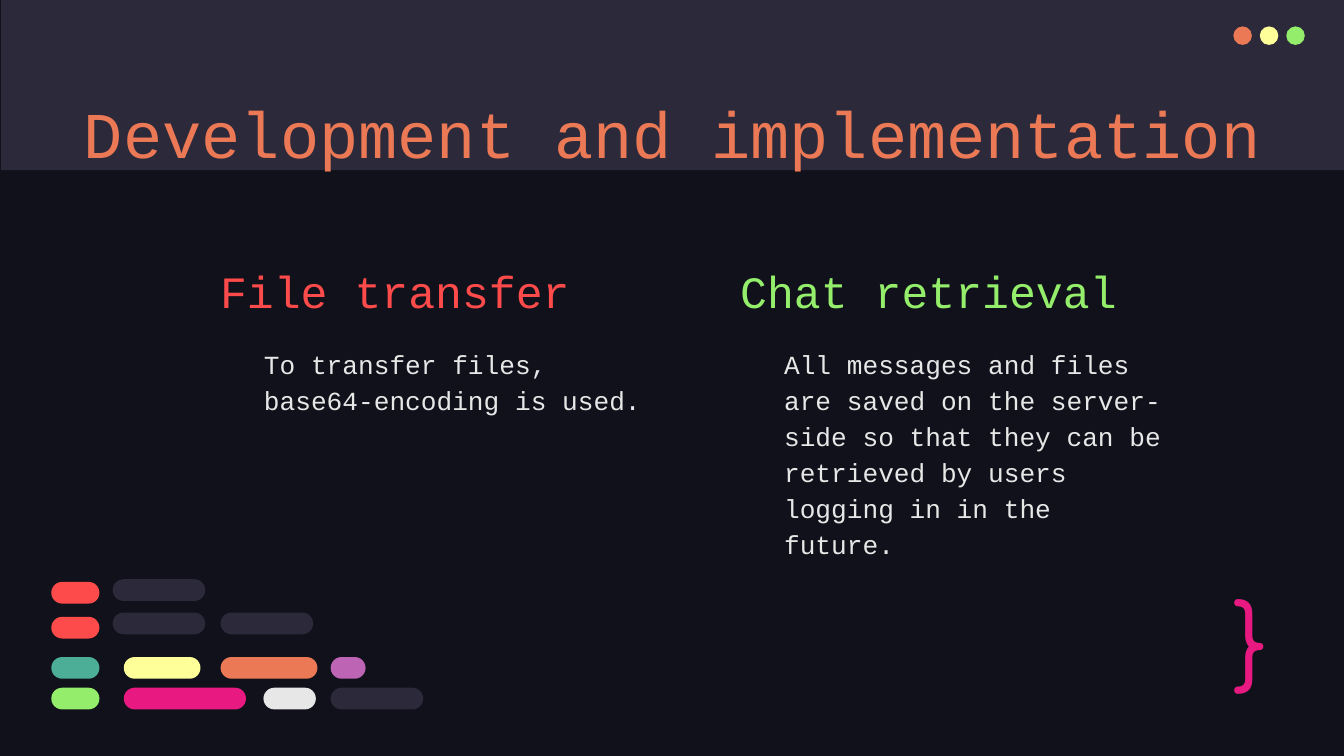
import pptx
import pptx.dml.color
import pptx.enum.shapes
import pptx.enum.text
import pptx.util
from pptx.dml.color import RGBColor
from pptx.enum.shapes import MSO_SHAPE
from pptx.enum.text import MSO_ANCHOR, PP_ALIGN
from pptx.util import Cm

NIGHT = RGBColor(0x10, 0x11, 0x1A)
SLATE = RGBColor(0x2C, 0x29, 0x3A)
ORANGE = RGBColor(0xEC, 0x79, 0x55)
YELLOW = RGBColor(0xFF, 0xFF, 0x99)
GREEN = RGBColor(0x94, 0xEE, 0x6B)
RED = RGBColor(0xFD, 0x4A, 0x4A)
TEAL = RGBColor(0x4C, 0xAE, 0x97)
PURPLE = RGBColor(0xBD, 0x64, 0xB5)
PINK = RGBColor(0xE8, 0x1A, 0x81)
WHITE = RGBColor(0xE7, 0xE7, 0xE7)

CODE_FONT = "Courier New"
BRACE_FONT = "Comfortaa"

COLUMNS = [
    (3.91, "File transfer", RED, "To transfer files, base64-encoding is used."),
    (13.74, "Chat retrieval", GREEN,
     "All messages and files are saved on the server-side so that they can be "
     "retrieved by users logging in in the future."),
]

# Rows of code-like bars: left, top, width, colour
BARS = [
    (0.97, 11.0, 0.91, RED),
    (0.97, 11.66, 0.91, RED),
    (0.97, 12.42, 0.91, TEAL),
    (2.34, 12.42, 1.45, YELLOW),
    (4.17, 12.42, 1.83, ORANGE),
    (6.25, 12.42, 0.66, PURPLE),
    (0.97, 13.0, 0.91, GREEN),
    (2.34, 13.0, 2.31, PINK),
    (4.98, 13.0, 0.99, WHITE),
    (6.25, 13.0, 1.75, SLATE),
    (2.13, 11.58, 1.75, SLATE),
    (2.13, 10.95, 1.75, SLATE),
    (4.17, 11.58, 1.75, SLATE),
]


class Painter:
    def __init__(self, slide, font):
        self.slide = slide
        self.font = font

    def background(self, colour):
        fill = self.slide.background.fill
        fill.solid()
        fill.fore_color.rgb = colour

    def shape(self, kind, left, top, width, height, colour):
        shape = self.slide.shapes.add_shape(
            kind, Cm(left), Cm(top), Cm(width), Cm(height))
        shape.shadow.inherit = False
        shape.fill.solid()
        shape.fill.fore_color.rgb = colour
        shape.line.fill.background()
        return shape

    def pill(self, left, top, width, colour):
        bar = self.shape(MSO_SHAPE.ROUNDED_RECTANGLE, left, top, width, 0.41, colour)
        bar.adjustments[0] = 0.5

    def text(self, left, top, width, height, words, size, colour, font=None,
             anchor=MSO_ANCHOR.TOP, align=PP_ALIGN.LEFT, spacing=1.0, inset_top=0.25):
        box = self.slide.shapes.add_textbox(Cm(left), Cm(top), Cm(width), Cm(height))
        frame = box.text_frame
        frame.word_wrap = True
        frame.vertical_anchor = anchor
        frame.margin_left = frame.margin_right = frame.margin_bottom = Cm(0.25)
        frame.margin_top = Cm(inset_top)
        para = frame.paragraphs[0]
        para.alignment = align
        para.line_spacing = spacing
        span = para.add_run()
        span.text = words
        span.font.name = font or self.font
        span.font.size = pptx.util.Pt(size)
        span.font.color.rgb = colour


def main():
    deck = pptx.Presentation()
    deck.slide_width, deck.slide_height = Cm(25.4), Cm(14.29)
    painter = Painter(deck.slides.add_slide(deck.slide_layouts[6]), CODE_FONT)

    painter.background(NIGHT)
    painter.shape(MSO_SHAPE.RECTANGLE, 0.02, 0, 25.4, 3.22, SLATE)
    for index, colour in enumerate((ORANGE, YELLOW, GREEN)):
        painter.shape(MSO_SHAPE.OVAL, 23.31 + 0.5 * index, 0.5, 0.35, 0.35, colour)

    for left, heading, colour, body in COLUMNS:
        painter.text(left, 4.7, 7.75, 1.55, heading, 24, colour,
                     anchor=MSO_ANCHOR.BOTTOM, spacing=1.15)
        painter.text(left + 0.83, 6.25, 7.75, 4.11, body, 14, WHITE, spacing=1.15)

    painter.text(23.06, 10.95, 1.45, 2.11, "}", 50, PINK, font=BRACE_FONT,
                 anchor=MSO_ANCHOR.MIDDLE)
    for bar in BARS:
        painter.pill(*bar)

    painter.text(1.27, 1.27, 22.89, 1.6, "Development and implementation", 35, ORANGE,
                 align=PP_ALIGN.CENTER, inset_top=0.5)

    deck.save("out.pptx")


if __name__ == "__main__":
    main()
